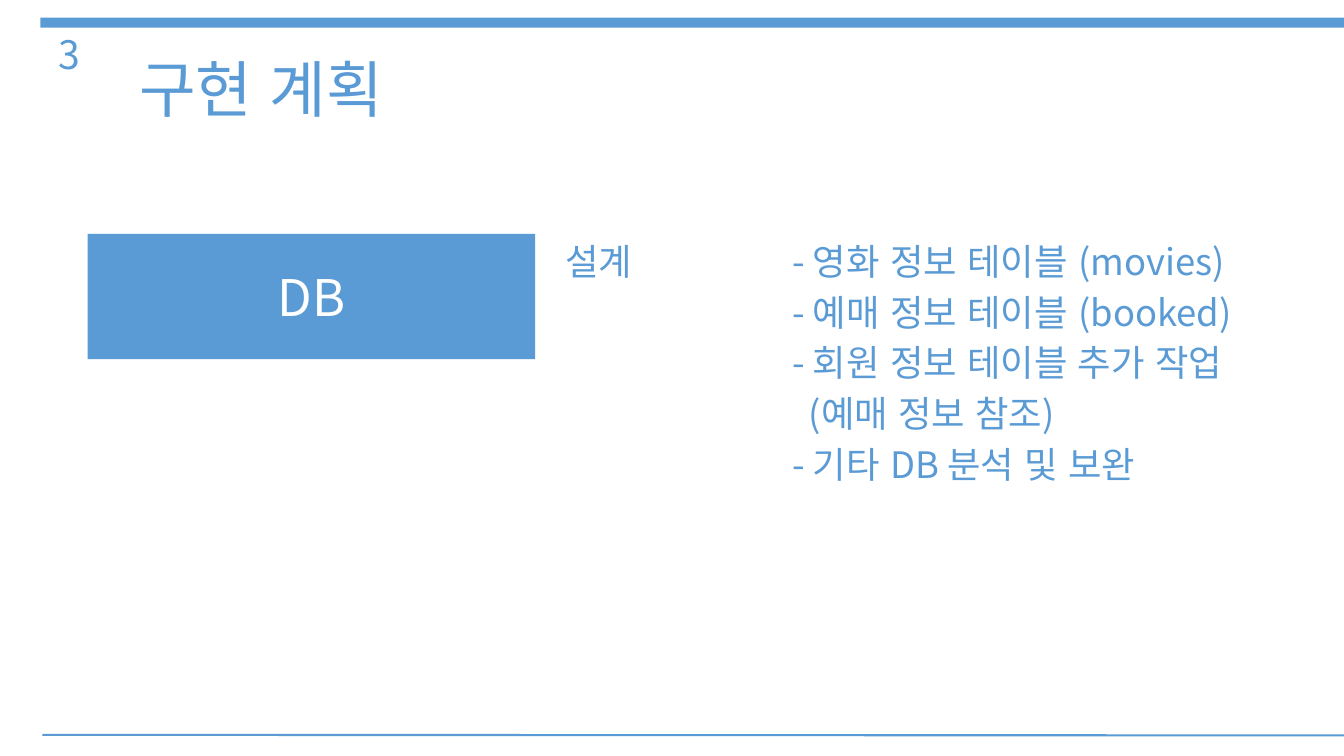
from dataclasses import dataclass

from lxml import etree
from pptx import Presentation
from pptx.dml.color import RGBColor
from pptx.enum import lang, shapes, text
from pptx.oxml import ns
from pptx.util import Pt


@dataclass(frozen=True)
class Theme:
    font: str = "Noto Sans CJK KR"
    blue: RGBColor = RGBColor(0x5B, 0x9B, 0xD5)
    white: RGBColor = RGBColor(0xFF, 0xFF, 0xFF)
    title: float = 44
    number: float = 28
    label: float = 36
    body: float = 26
    rule: float = 1.5


@dataclass(frozen=True)
class Box:
    left: float
    top: float
    width: float
    height: float

    def lengths(self):
        return Pt(self.left), Pt(self.top), Pt(self.width), Pt(self.height)


THEME = Theme()
WIDTH, HEIGHT = 960, 540
TASK_TAB, DETAIL_TAB = 162, 174
TASKS = [
    ("설계\t- 영화 정보 테이블 (movies)", TASK_TAB),
    ("\t- 예매 정보 테이블 (booked)", TASK_TAB),
    ("\t- 회원 정보 테이블 추가 작업", TASK_TAB),
    ("\t(예매 정보 참조)", DETAIL_TAB),
    ("\t- 기타 DB 분석 및 보완", TASK_TAB),
]


def add_run(paragraph, words, size, color):
    run = paragraph.add_run()
    run.text = words
    run.font.size = Pt(size)
    run.font.name = THEME.font
    run.font.color.rgb = color
    run.font.language_id = lang.MSO_LANGUAGE_ID.KOREAN
    run.font._element.set("kern", "0")
    east_asian = etree.SubElement(run.font._element, ns.qn("a:ea"))
    east_asian.set("typeface", THEME.font)


def add_text_frame(slide, box, anchor):
    frame = slide.shapes.add_textbox(*box.lengths()).text_frame
    frame.word_wrap = True
    frame.vertical_anchor = anchor
    return frame


def add_bar(slide, box):
    shape = slide.shapes.add_shape(shapes.MSO_SHAPE.RECTANGLE, *box.lengths())
    shape.shadow.inherit = False
    shape.fill.solid()
    shape.fill.fore_color.rgb = THEME.blue
    shape.line.fill.background()
    return shape


def add_header(slide, box, number, title):
    add_bar(slide, Box(box.left, box.top, box.width, 7.2))
    parts = [
        (title, THEME.title, Box(box.left + 63.4, box.top + 11.1, 229.7, 77.8)),
        (number, THEME.number, Box(box.left + 5.8, box.top + 11.1, 31.7, 29.5)),
    ]
    for words, size, place in parts:
        frame = add_text_frame(slide, place, text.MSO_ANCHOR.MIDDLE)
        add_run(frame.paragraphs[0], words, size, THEME.blue)


def add_label(slide, box, words):
    frame = add_bar(slide, box).text_frame
    frame.vertical_anchor = text.MSO_ANCHOR.MIDDLE
    paragraph = frame.paragraphs[0]
    paragraph.alignment = text.PP_ALIGN.CENTER
    add_run(paragraph, words, THEME.label, THEME.white)


def add_tasks(slide, box, tasks):
    frame = add_text_frame(slide, box, text.MSO_ANCHOR.TOP)
    for index, (words, tab) in enumerate(tasks):
        paragraph = frame.add_paragraph() if index else frame.paragraphs[0]
        paragraph.space_before = Pt(THEME.body * 0.2 if index else 0)
        properties = paragraph._p.get_or_add_pPr()
        tabs = etree.SubElement(properties, ns.qn("a:tabLst"))
        stop = etree.SubElement(tabs, ns.qn("a:tab"))
        stop.set("pos", str(Pt(tab)))
        stop.set("algn", "l")
        add_run(paragraph, words, THEME.body, THEME.blue)


def add_footer(slide, box):
    line = slide.shapes.add_connector(
        shapes.MSO_CONNECTOR.STRAIGHT,
        Pt(box.left), Pt(box.top),
        Pt(box.left + box.width), Pt(box.top + box.height),
    )
    line.line.color.rgb = THEME.blue
    line.line.width = Pt(THEME.rule)
    etree.SubElement(line._element.spPr, ns.qn("a:effectLst"))


def build_plan_slide(presentation):
    slide = presentation.slides.add_slide(presentation.slide_layouts[6])
    add_header(slide, Box(28.8, 12.6, WIDTH - 28.8, 90), "3", "구현 계획")
    add_label(slide, Box(62.6, 167, 319.7, 89.5), "DB")
    add_footer(slide, Box(30.2, 524.9, WIDTH - 30.2, 0.4))
    add_tasks(slide, Box(396.7, 167, 543.6, 332.6), TASKS)


def main():
    presentation = Presentation()
    presentation.slide_width = Pt(WIDTH)
    presentation.slide_height = Pt(HEIGHT)
    build_plan_slide(presentation)
    presentation.save("out.pptx")


if __name__ == "__main__":
    main()
